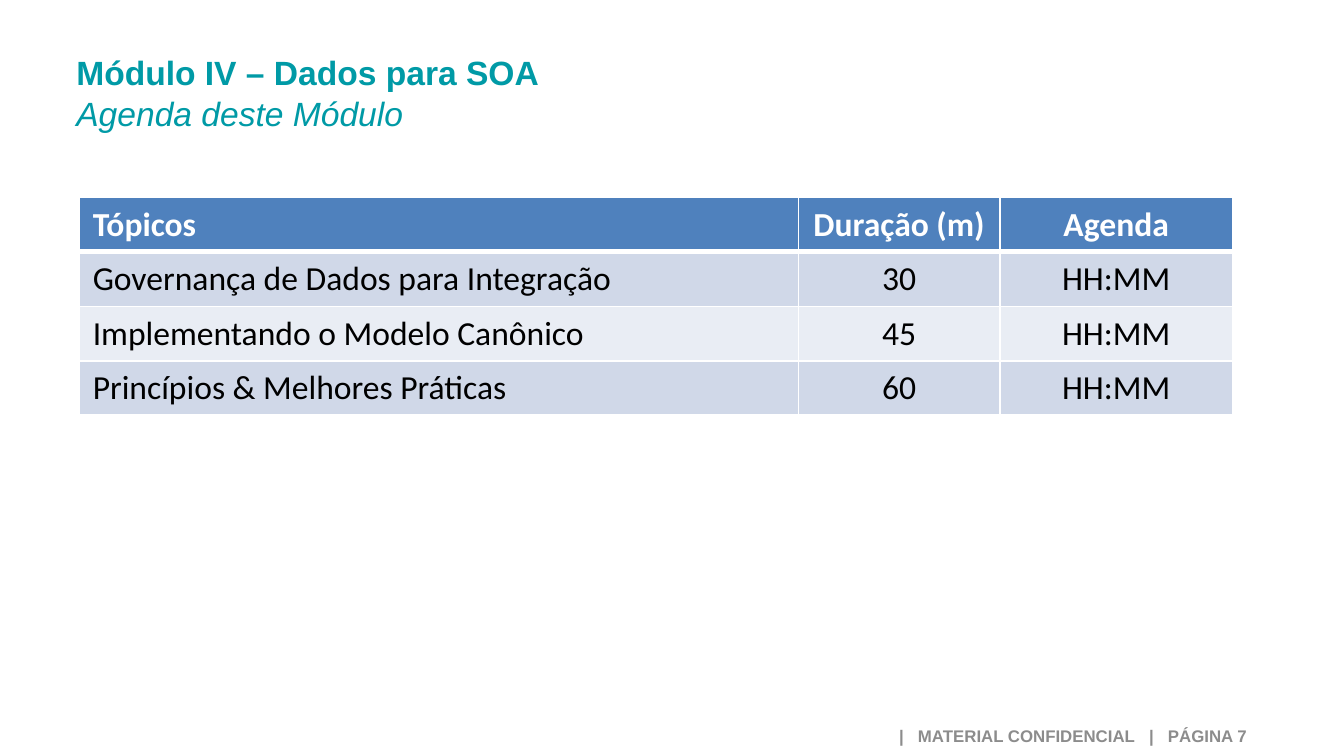
"""Build the agenda slide of a training module."""
import dataclasses

import lxml.etree
import pptx
import pptx.dml.color
import pptx.enum.text
import pptx.oxml.ns
import pptx.util

EMU_PER_PX = 4572
ALIGN = pptx.enum.text.PP_ALIGN
ANCHOR = pptx.enum.text.MSO_ANCHOR
WHITE = "FFFFFF"
HEADER_FILL = "4F81BD"
BAND_FILLS = ("E9EDF4", "D0D8E8")


@dataclasses.dataclass(frozen=True)
class Box:
    left: int
    top: int
    width: int
    height: int

    def emu(self) -> list[pptx.util.Emu]:
        return [px(value) for value in dataclasses.astuple(self)]


@dataclasses.dataclass(frozen=True)
class TextStyle:
    name: str
    size: int
    color: str
    bold: bool | None = None


@dataclasses.dataclass(frozen=True)
class Column:
    title: str
    width: int
    align: ALIGN


@dataclasses.dataclass(frozen=True)
class Topic:
    name: str
    minutes: int
    time: str = "HH:MM"


TITLE_STYLE = TextStyle("Arial", 18, "009AA6")
FOOTER_STYLE = TextStyle("Arial", 9, "8C8C8C", True)
HEADER_STYLE = TextStyle("Calibri", 18, WHITE, True)
BODY_STYLE = TextStyle("Calibri", 18, "000000", False)

COLUMNS = (
    Column("Tópicos", 1070, ALIGN.LEFT),
    Column("Duração (m)", 300, ALIGN.CENTER),
    Column("Agenda", 346, ALIGN.CENTER),
)
TOPICS = (
    Topic("Governança de Dados para Integração", 30),
    Topic("Implementando o Modelo Canônico", 45),
    Topic("Princípios & Melhores Práticas", 60),
)
ROW_HEIGHT = 81
FOOTER_PARTS = ("|", "MATERIAL CONFIDENCIAL", "|", "PÁGINA 7")
FOOTER_TABS = (28, 372, 400)


def px(value: int) -> pptx.util.Emu:
    return pptx.util.Emu(value * EMU_PER_PX)


def rgb(color: str) -> pptx.dml.color.RGBColor:
    return pptx.dml.color.RGBColor.from_string(color)


def style_paragraph(paragraph, style: TextStyle, align: ALIGN) -> None:
    paragraph.alignment = align
    font = paragraph.font
    font.name = style.name
    font.size = pptx.util.Pt(style.size)
    font.color.rgb = rgb(style.color)
    font.bold = style.bold


def add_child(parent, tag: str, **attributes: str):
    return lxml.etree.SubElement(parent, pptx.oxml.ns.qn(tag), attributes)


def set_borders(cell, top: int, bottom: int) -> None:
    properties = cell._tc.get_or_add_tcPr()
    for side, points in (("L", 1), ("R", 1), ("T", top), ("B", bottom)):
        line = add_child(properties, f"a:ln{side}", w=str(pptx.util.Pt(points)))
        add_child(add_child(line, "a:solidFill"), "a:srgbClr", val=WHITE)


def add_title(slide) -> None:
    frame = slide.shapes.add_textbox(*Box(94, 68, 1480, 142).emu()).text_frame
    frame.word_wrap = True
    paragraph = frame.paragraphs[0]
    style_paragraph(paragraph, TITLE_STYLE, ALIGN.LEFT)
    module = paragraph.add_run()
    module.text = "Módulo IV – Dados para SOA"
    module.font.bold = True
    paragraph.add_line_break()
    subtitle = paragraph.add_run()
    subtitle.text = "Agenda deste Módulo"
    subtitle.font.italic = True


def add_agenda(slide) -> None:
    rows = [[column.title for column in COLUMNS]]
    rows += [[topic.name, str(topic.minutes), topic.time] for topic in TOPICS]
    width = sum(column.width for column in COLUMNS)
    box = Box(118, 294, width, ROW_HEIGHT * len(rows))
    table = slide.shapes.add_table(len(rows), len(COLUMNS), *box.emu()).table
    for table_column, column in zip(table.columns, COLUMNS):
        table_column.width = px(column.width)
    for row_index, texts in enumerate(rows):
        is_header = row_index == 0
        fill = HEADER_FILL if is_header else BAND_FILLS[row_index % 2]
        for column_index, text in enumerate(texts):
            cell = table.cell(row_index, column_index)
            set_borders(cell, 3 if row_index == 1 else 1, 3 if is_header else 1)
            cell.fill.solid()
            cell.fill.fore_color.rgb = rgb(fill)
            cell.text = text
            style = HEADER_STYLE if is_header else BODY_STYLE
            style_paragraph(cell.text_frame.paragraphs[0], style, COLUMNS[column_index].align)


def add_footer(slide) -> None:
    frame = slide.shapes.add_textbox(*Box(1338, 1066, 538, 58).emu()).text_frame
    frame.word_wrap = True
    frame.margin_left = frame.margin_right = 0
    frame.vertical_anchor = ANCHOR.MIDDLE
    paragraph = frame.paragraphs[0]
    paragraph.text = "\t".join(FOOTER_PARTS)
    tabs = add_child(paragraph._p.get_or_add_pPr(), "a:tabLst")
    for position in FOOTER_TABS:
        add_child(tabs, "a:tab", pos=str(px(position)), algn="l")
    style_paragraph(paragraph, FOOTER_STYLE, ALIGN.LEFT)


def main() -> None:
    presentation = pptx.Presentation()
    presentation.slide_width = px(2000)
    presentation.slide_height = px(1125)
    slide = presentation.slides.add_slide(presentation.slide_layouts[6])
    add_footer(slide)
    add_agenda(slide)
    add_title(slide)
    presentation.save("out.pptx")


if __name__ == "__main__":
    main()
